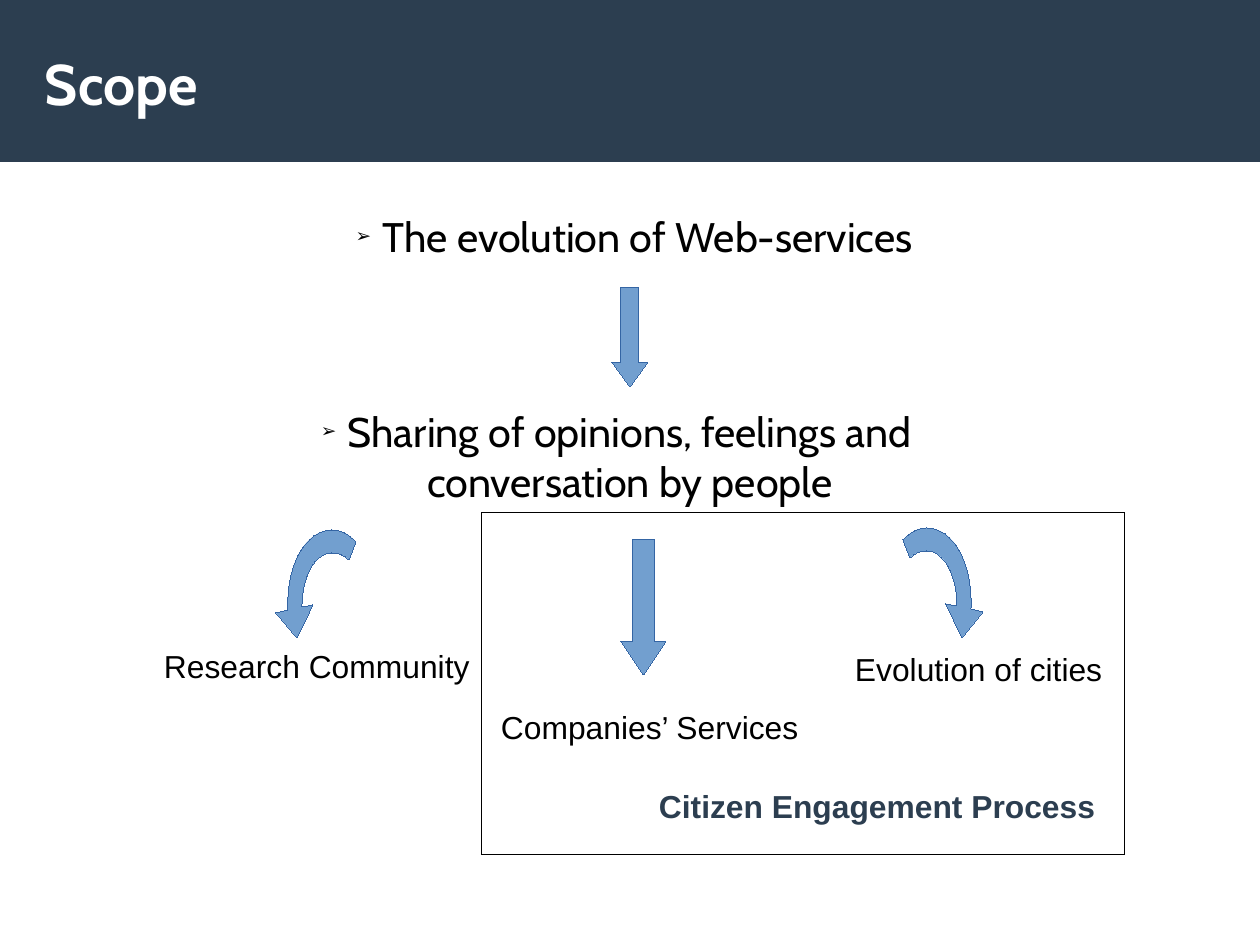
from dataclasses import dataclass

from lxml.etree import SubElement
from pptx import Presentation
from pptx.dml.color import RGBColor
from pptx.enum.shapes import MSO_SHAPE as Shape
from pptx.enum.text import MSO_ANCHOR as Anchor, PP_ALIGN as Align
from pptx.oxml.ns import qn
from pptx.util import Pt

PX = 8000  # EMU in one px


@dataclass(frozen=True)
class Theme:
    navy: str = "2C3E50"
    white: str = "FFFFFF"
    black: str = "000000"
    arrow_fill: str = "729FCF"
    arrow_line: str = "3465A4"
    head_font: str = "Cabin"
    label_font: str = "Arial"
    title_size: int = 36
    point_size: int = 26
    label_size: int = 20


class SlideBuilder:
    def __init__(self, prs, theme):
        self.theme = theme
        self.slide = prs.slides.add_slide(prs.slide_layouts[5])
        self.shapes = self.slide.shapes

    def place(self, sp, box):
        sp.left, sp.top, sp.width, sp.height = [v * PX for v in box]

    def paint(self, sp, fill=None, line=None):
        sp.shadow.inherit = False
        if fill:
            sp.fill.solid()
            sp.fill.fore_color.rgb = RGBColor.from_string(fill)
        else:
            sp.fill.background()
        if line:
            sp.line.color.rgb = RGBColor.from_string(line)
            sp._element.spPr.find(qn("a:ln")).set("w", "0")  # hairline
        else:
            sp.line.fill.background()

    def frame(self, tf, inset_x=0, inset_y=0, wrap=True, anchor=Anchor.MIDDLE):
        tf.margin_left = tf.margin_right = inset_x * PX
        tf.margin_top = tf.margin_bottom = inset_y * PX
        tf.word_wrap = wrap
        tf.vertical_anchor = anchor
        return tf.paragraphs[0]

    def run(self, p, text, font, size, color, bold=False):
        r = p.add_run()
        r.text = text
        r.font.name, r.font.size, r.font.bold = font, Pt(size), bold
        r.font.color.rgb = RGBColor.from_string(color)

    def band(self, box):
        sp = self.shapes.add_shape(Shape.RECTANGLE, *[v * PX for v in box])
        self.paint(sp, self.theme.navy)
        self.shapes._spTree.insert(2, sp._element)  # behind the title

    def title(self, text, box):
        sp = self.shapes.title
        self.place(sp, box)
        p = self.frame(sp.text_frame)
        p.alignment = Align.LEFT
        self.run(p, text, self.theme.head_font, self.theme.title_size, self.theme.white, True)

    def point(self, text, box):
        sp = self.shapes.add_textbox(*[v * PX for v in box])
        p = self.frame(sp.text_frame)
        p.alignment = Align.CENTER
        p.space_after = Pt(11.3)
        pPr = p._p.get_or_add_pPr()
        pPr.set("marL", str(27 * PX))
        pPr.set("indent", str(-27 * PX))
        color = SubElement(pPr, qn("a:buClr"))
        SubElement(color, qn("a:srgbClr"), val=self.theme.black)
        SubElement(pPr, qn("a:buSzPct"), val="45000")
        SubElement(pPr, qn("a:buFont"), typeface=self.theme.label_font)
        SubElement(pPr, qn("a:buChar"), char="➢")
        self.run(p, text, self.theme.head_font, self.theme.point_size, self.theme.black)

    def label(self, text, box, color, bold=False):
        sp = self.shapes.add_textbox(*[v * PX for v in box])
        p = self.frame(sp.text_frame, 11, 6, wrap=False, anchor=Anchor.TOP)
        self.run(p, text, self.theme.label_font, self.theme.label_size, color, bold)

    def down_arrow(self, box, head):
        sp = self.shapes.add_shape(Shape.DOWN_ARROW, *[v * PX for v in box])
        sp.adjustments[0], sp.adjustments[1] = 0.5, head
        self.paint(sp, self.theme.arrow_fill, self.theme.arrow_line)

    def curved_arrow(self, outline, curves):
        """Draw the outline; each index in curves starts three Bezier points."""
        builder = self.shapes.build_freeform(*outline[0], scale=PX)
        builder.add_line_segments(outline[1:], close=True)
        sp = builder.convert_to_shape()
        lines = list(sp._element.iter(qn("a:lnTo")))
        for i in curves:
            first, *others = lines[i:i + 3]
            first.tag = qn("a:cubicBezTo")
            for line in others:
                first.append(line[0])
                line.getparent().remove(line)
        self.paint(sp, self.theme.arrow_fill, self.theme.arrow_line)

    def outline_box(self, box):
        sp = self.shapes.add_shape(Shape.RECTANGLE, *[v * PX for v in box])
        self.paint(sp, line=self.theme.black)


def main():
    theme = Theme()
    prs = Presentation()
    prs.slide_width, prs.slide_height = 1260 * PX, 945 * PX
    s = SlideBuilder(prs, theme)

    # Header
    s.band((0, 0, 1260, 162))
    s.title("Scope", (45, 23, 1170, 120))

    # Main points
    s.point("The evolution of Web-services", (63, 202, 1143, 67))
    s.down_arrow((612, 288, 36, 99), 0.69)
    s.point("Sharing of opinions, feelings and conversation by people", (216, 399, 801, 114))

    # Curved arrows, the left one mirrored and slightly lower at the top
    right = [(957, 606),
             (957, 575), (944, 551), (927, 551),
             (920, 551), (915, 553), (910, 558),
             (903, 540),
             (910, 532), (918, 528), (927, 528),
             (953, 528), (973, 562), (971, 609),
             (983, 612), (962, 638), (946, 604)]
    left = [(1259 - x, round(638 - 0.98 * (638 - y))) for x, y in right]
    for outline in (right, left):
        s.curved_arrow(outline, curves=(0, 3, 7, 10))
    s.down_arrow((621, 540, 45, 135), 0.75)

    # Outcomes
    s.label("Research Community", (153, 641, 329, 47), theme.black)
    s.label("Companies’ Services", (490, 702, 320, 47), theme.black)
    s.label("Evolution of cities", (844, 644, 270, 47), theme.black)
    s.label("Citizen Engagement Process", (648, 781, 459, 47), theme.navy, bold=True)
    s.outline_box((482, 513, 643, 342))

    prs.save("out.pptx")


if __name__ == "__main__":
    main()
